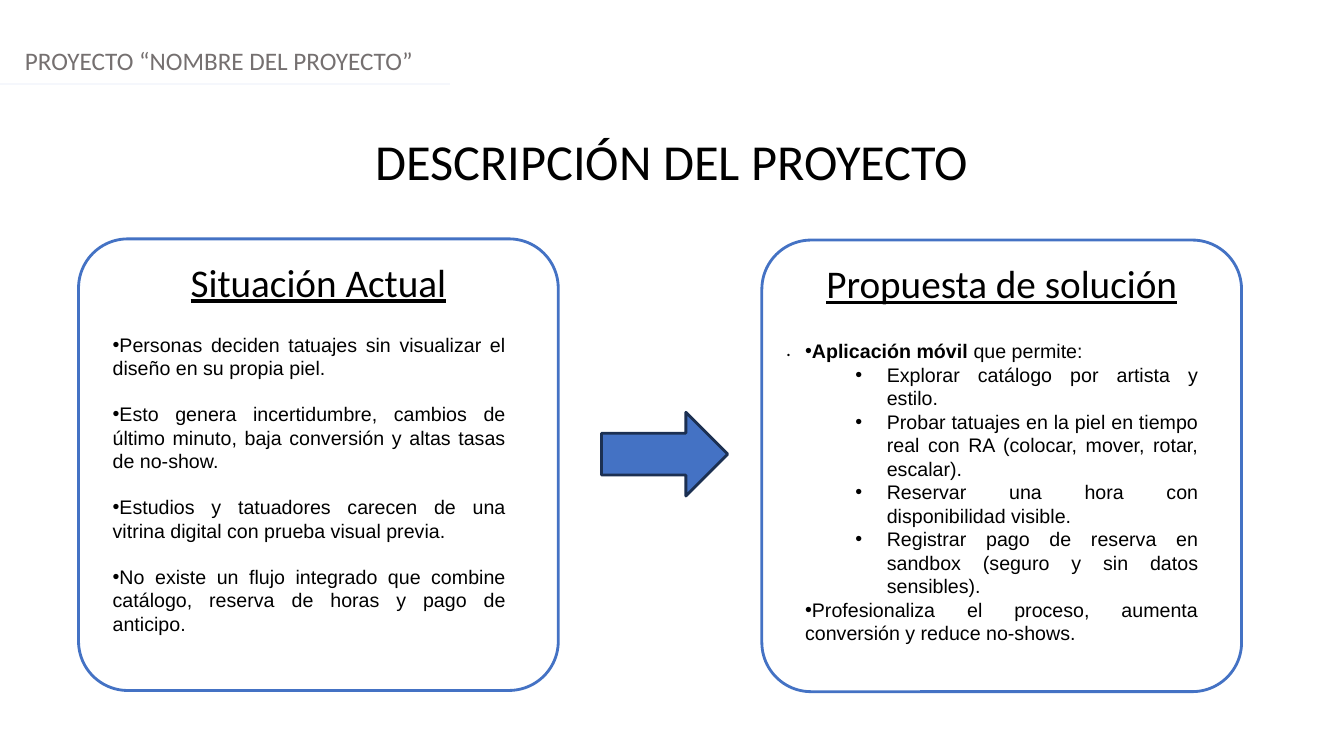
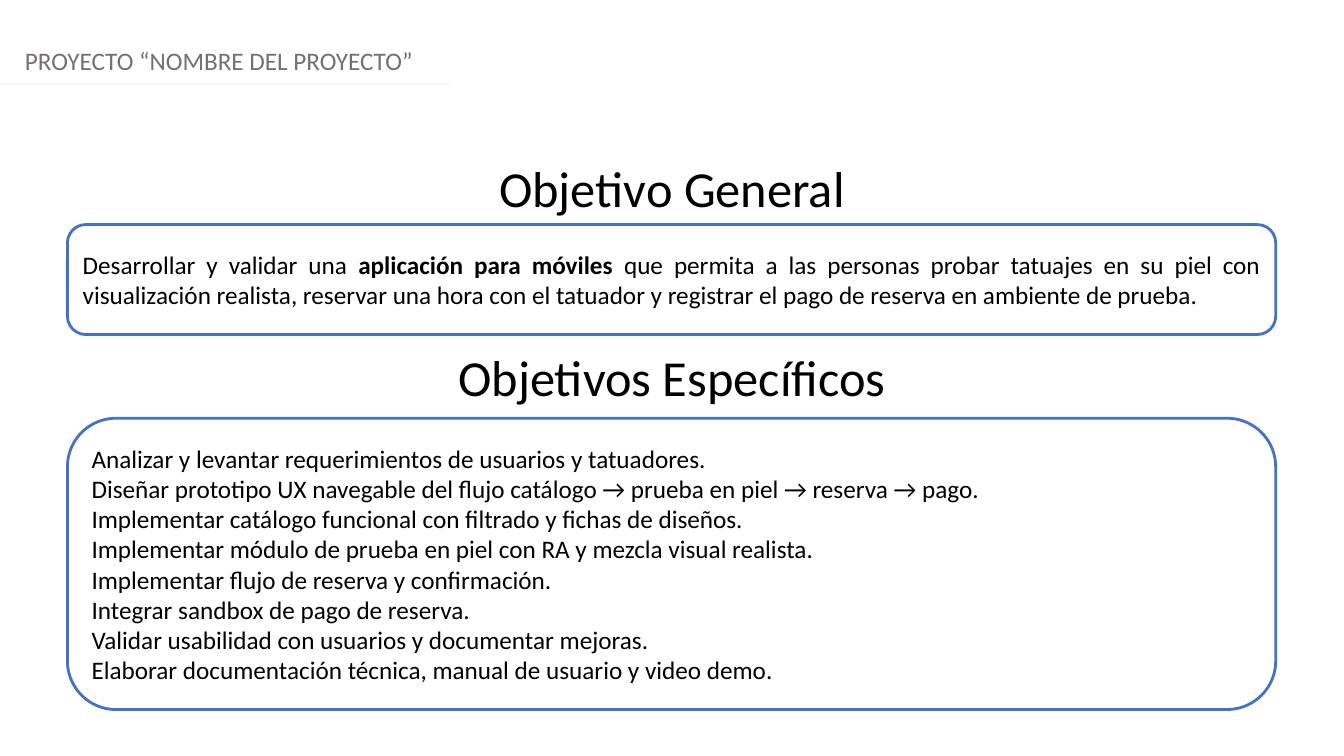
import pptx
import pptx.util
import pptx.dml.color
import pptx.enum.shapes
import pptx.enum.text
import pptx.oxml.ns
from lxml import etree

Cm = pptx.util.Cm
Pt = pptx.util.Pt
ALIGN = pptx.enum.text.PP_ALIGN
ANCHOR = pptx.enum.text.MSO_ANCHOR
SHAPES = pptx.enum.shapes.MSO_SHAPE

COLORS = {
    "text": "000000",
    "header": "757070",
    "rule": "F5F7FC",
    "white": "FFFFFF",
    "blue": "4472C4",
    "navy": "1C3052",
}
SLIDE_WIDTH, SLIDE_HEIGHT = 33.87, 19.05
HEADER = "PROYECTO “NOMBRE DEL PROYECTO”"

CURRENT_SITUATION = [
    "Personas deciden tatuajes sin visualizar el diseño en su propia piel.",
    "Esto genera incertidumbre, cambios de último minuto, baja conversión y altas tasas de no-show.",
    "Estudios y tatuadores carecen de una vitrina digital con prueba visual previa.",
    "No existe un flujo integrado que combine catálogo, reserva de horas y pago de anticipo.",
]
SOLUTION = [
    (0, [("Aplicación móvil", True), (" que permite:", False)]),
    (1, "Explorar catálogo por artista y estilo."),
    (1, "Probar tatuajes en la piel en tiempo real con RA (colocar, mover, rotar, escalar)."),
    (1, "Reservar una hora con disponibilidad visible."),
    (1, "Registrar pago de reserva en sandbox (seguro y sin datos sensibles)."),
    (0, "Profesionaliza el proceso, aumenta conversión y reduce no-shows."),
]
CARDS = [
    {"title": "Situación Actual", "left": 1.98, "top": 6.02, "body": (2.59, 8.18),
     "items": [(0, item) for item in CURRENT_SITUATION], "gap": 16},
    {"title": "Propuesta de solución", "left": 19.2, "top": 6.05, "body": (20.04, 8.38),
     "items": SOLUTION, "gap": 0, "mark": "."},
]
BULLET_INDENTS = [(0, -0.25), (2.06, -0.79)]

GENERAL_GOAL = [
    ("Desarrollar y validar una ", False),
    ("aplicación para móviles", True),
    (" que permita a las personas probar tatuajes en su piel con visualización realista, "
     "reservar una hora con el tatuador y registrar el pago de reserva en ambiente de prueba.", False),
]
SPECIFIC_GOALS = [
    "Analizar y levantar requerimientos de usuarios y tatuadores.",
    "Diseñar prototipo UX navegable del flujo catálogo → prueba en piel → reserva → pago.",
    "Implementar catálogo funcional con filtrado y fichas de diseños.",
    "Implementar módulo de prueba en piel con RA y mezcla visual realista.",
    "Implementar flujo de reserva y confirmación.",
    "Integrar sandbox de pago de reserva.",
    "Validar usabilidad con usuarios y documentar mejoras.",
    "Elaborar documentación técnica, manual de usuario y video demo.",
]
GOALS = [
    {"title": "Objetivo General", "title_top": 3.84, "top": 5.66, "height": 2.77,
     "lines": [GENERAL_GOAL], "align": ALIGN.JUSTIFY},
    {"title": "Objetivos Específicos", "title_top": 8.59, "top": 10.54, "height": 7.34,
     "lines": SPECIFIC_GOALS, "align": ALIGN.LEFT},
]


def rgb(name):
    return pptx.dml.color.RGBColor.from_string(COLORS[name])


def add_paragraph(frame, content, size, align=ALIGN.LEFT, font="Calibri", color="text", before=0):
    paragraph = frame.paragraphs[0]
    if paragraph.runs:
        paragraph = frame.add_paragraph()
    paragraph.alignment = align
    paragraph.space_before = Pt(before)
    paragraph.font.name = font
    paragraph.font.size = Pt(size)
    paragraph.font.color.rgb = rgb(color)
    for text, bold in [(content, False)] if isinstance(content, str) else content:
        run = paragraph.add_run()
        run.text = text
        if bold:
            run.font.bold = True
    return paragraph


def add_bullet(paragraph, level):
    margin, indent = BULLET_INDENTS[level]
    paragraph.level = level
    properties = paragraph._p.get_or_add_pPr()
    properties.set("marL", str(Cm(margin)))
    properties.set("indent", str(Cm(indent)))
    qn = pptx.oxml.ns.qn
    bullet_color = etree.SubElement(properties, qn("a:buClr"))
    etree.SubElement(bullet_color, qn("a:srgbClr"), val=COLORS["text"])
    etree.SubElement(properties, qn("a:buFont"), typeface="Arial")
    etree.SubElement(properties, qn("a:buChar"), char="•")
    default_run = properties.find(qn("a:defRPr"))
    if default_run is not None:
        properties.append(default_run)


def add_text_box(slide, left, top, width, height, anchor=ANCHOR.TOP):
    frame = slide.shapes.add_textbox(Cm(left), Cm(top), Cm(width), Cm(height)).text_frame
    frame.word_wrap = True
    frame.vertical_anchor = anchor
    return frame


def add_block(slide, kind, left, top, width, height, fill="white", line="blue", anchor=ANCHOR.MIDDLE):
    shape = slide.shapes.add_shape(kind, Cm(left), Cm(top), Cm(width), Cm(height))
    shape.shadow.inherit = False
    shape.fill.solid()
    shape.fill.fore_color.rgb = rgb(fill)
    shape.line.color.rgb = rgb(line)
    shape.line.width = Pt(2)
    shape.text_frame.vertical_anchor = anchor
    return shape


def add_title(slide, text, top):
    frame = add_text_box(slide, 0, top, SLIDE_WIDTH, 1.8)
    add_paragraph(frame, text, 36, ALIGN.CENTER)


def add_base_slide(presentation):
    slide = presentation.slides.add_slide(presentation.slide_layouts[6])
    add_paragraph(add_text_box(slide, 0.38, 1.02, 33, 1.02), HEADER, 18, color="header")
    rule = slide.shapes.add_connector(
        pptx.enum.shapes.MSO_CONNECTOR.STRAIGHT, 0, Cm(2.11), Cm(11.35), Cm(2.11))
    rule.line.color.rgb = rgb("rule")
    rule.line.width = Pt(1.25)
    etree.SubElement(rule._element.spPr, pptx.oxml.ns.qn("a:effectLst"))
    return slide


def build_description(presentation):
    slide = add_base_slide(presentation)
    add_title(slide, "DESCRIPCIÓN DEL PROYECTO", 3.15)
    for card in CARDS:
        shape = add_block(slide, SHAPES.ROUNDED_RECTANGLE, card["left"], card["top"],
                          12.09, 11.38, anchor=ANCHOR.TOP)
        shape.adjustments[0] = 0.109
        heading = add_paragraph(shape.text_frame, card["title"], 28, ALIGN.CENTER)
        heading.font.underline = True
        if "mark" in card:
            add_paragraph(shape.text_frame, card["mark"], 14, ALIGN.JUSTIFY, before=22)
        body = add_text_box(slide, *card["body"], 10.41, 8.03, ANCHOR.MIDDLE)
        for index, (level, content) in enumerate(card["items"]):
            before = card["gap"] if index else 0
            paragraph = add_paragraph(body, content, 14, ALIGN.JUSTIFY, "Arial", before=before)
            add_bullet(paragraph, level)
    add_block(slide, SHAPES.RIGHT_ARROW, 15.16, 10.39, 3.18, 2.11, "blue", "navy")


def build_goals(presentation):
    slide = add_base_slide(presentation)
    for goal in GOALS:
        add_title(slide, goal["title"], goal["title_top"])
        shape = add_block(slide, SHAPES.ROUNDED_RECTANGLE, 1.7, goal["top"], 30.45, goal["height"])
        for line in goal["lines"]:
            add_paragraph(shape.text_frame, line, 18, goal["align"])


def main():
    presentation = pptx.Presentation()
    presentation.slide_width = Cm(SLIDE_WIDTH)
    presentation.slide_height = Cm(SLIDE_HEIGHT)
    build_description(presentation)
    build_goals(presentation)
    presentation.save("out.pptx")


if __name__ == "__main__":
    main()
